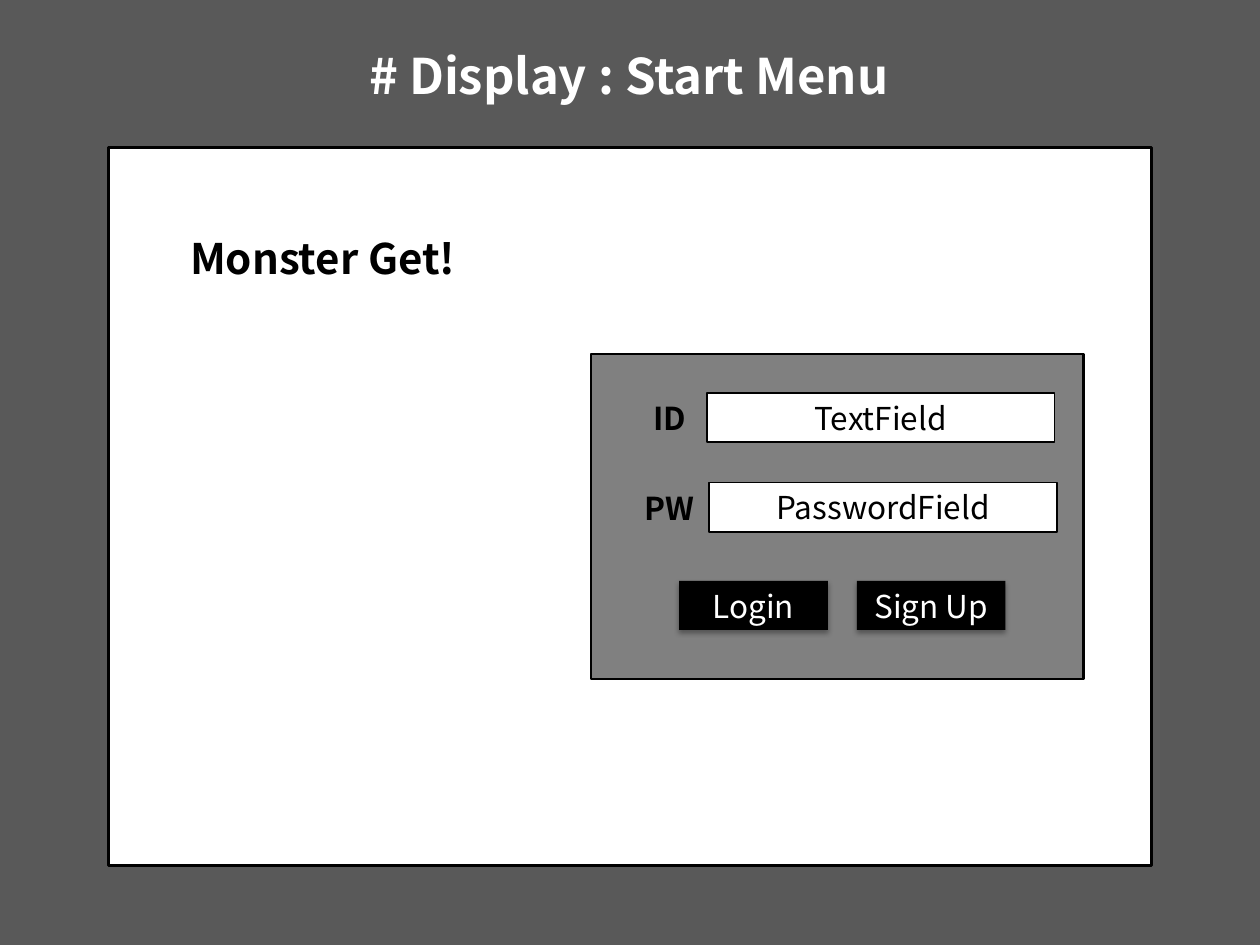
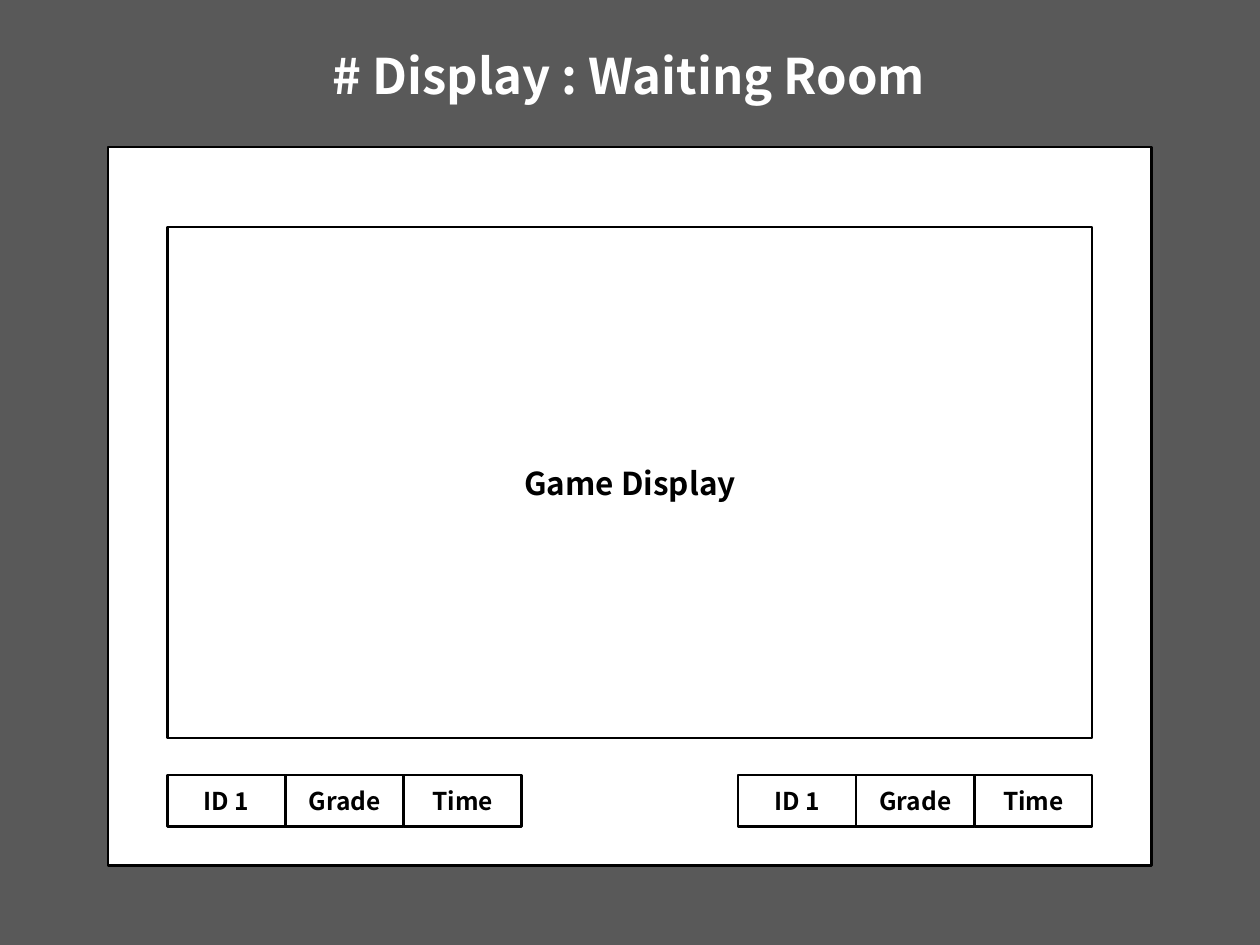
from lxml import etree
from pptx import Presentation
from pptx.dml.color import RGBColor
from pptx.enum.shapes import MSO_SHAPE as SHAPE
from pptx.enum.text import MSO_ANCHOR as ANCHOR, MSO_AUTO_SIZE as AUTO, PP_ALIGN as ALIGN
from pptx.oxml import parse_xml
from pptx.oxml.ns import nsdecls, qn
from pptx.util import Inches, Pt

FONT = "Noto Sans CJK KR"
BACKDROP = RGBColor(0x59, 0x59, 0x59)
PANEL = RGBColor(0x80, 0x80, 0x80)
WHITE = RGBColor(0xFF, 0xFF, 0xFF)
BLACK = RGBColor(0x00, 0x00, 0x00)


class Deck:
    """Holds the shared style and the slide being built."""

    def __init__(self):
        self.prs = Presentation()
        self.prs.slide_width, self.prs.slide_height = Inches(10), Inches(7.5)
        self.s = None

    def screen(self, title, border):
        """Start a slide with its title and the white screen frame."""
        self.s = self.prs.slides.add_slide(self.prs.slide_layouts[6])
        fill = self.s.background.fill
        fill.solid()
        fill.fore_color.rgb = BACKDROP
        self.label(title, 2.06, 0.31, 5.86, 0.57, size=28, color=WHITE)
        self.box(0.86, 1.17, 8.28, 5.7, fill=WHITE, border=border)

    def set_text(self, tf, text, align, size, bold, color):
        """Fill a text frame with one styled line."""
        tf.word_wrap = True
        p = tf.paragraphs[0]
        p.alignment = align
        r = p.add_run()
        r.text = text
        for name, value in {"name": FONT, "size": Pt(size), "bold": bold}.items():
            setattr(r.font, name, value)
        r.font.color.rgb = color

    def label(self, text, x, y, w, h, size=18, color=BLACK, align=ALIGN.CENTER):
        """Bold text without a box."""
        sp = self.s.shapes.add_textbox(Inches(x), Inches(y), Inches(w), Inches(h))
        sp.text_frame.auto_size = AUTO.SHAPE_TO_FIT_TEXT
        self.set_text(sp.text_frame, text, align, size, True, color)

    def box(self, x, y, w, h, text="", fill=None, border=None,
            size=18, bold=False, color=BLACK):
        """Rectangle with optional fill, border and centred text."""
        sp = self.s.shapes.add_shape(
            SHAPE.RECTANGLE, Inches(x), Inches(y), Inches(w), Inches(h))
        sp.shadow.inherit = False
        if fill is None:
            sp.fill.background()
        else:
            sp.fill.solid()
            sp.fill.fore_color.rgb = fill
        if border is None:
            sp.line.fill.background()
        else:
            sp.line.color.rgb = BLACK
            sp.line.width = Pt(border)
        if text:
            sp.text_frame.vertical_anchor = ANCHOR.MIDDLE
            self.set_text(sp.text_frame, text, ALIGN.CENTER, size, bold, color)
        return sp

    def button(self, text, x, y, w, h):
        """Black button with a soft shadow below."""
        sp = self.box(x, y, w, h, text, fill=BLACK, color=WHITE)
        shadow = parse_xml(
            f'<a:outerShdw {nsdecls("a")} blurRad="{Pt(3.1)}" dist="{Pt(1.8)}"'
            ' dir="5400000" rotWithShape="0"/>')
        clr = etree.SubElement(shadow, qn("a:srgbClr"), val=str(BLACK))
        etree.SubElement(clr, qn("a:alpha"), val="35000")
        sp.element.spPr.find(qn("a:effectLst")).append(shadow)


def start_menu(deck):
    deck.screen("# Display : Start Menu", border=1.5)
    deck.label("Monster Get!", 1.41, 1.8, 3.52, 0.5, size=24, align=ALIGN.LEFT)

    # Login panel
    deck.box(4.69, 2.81, 3.91, 2.58, fill=PANEL, border=1.5)
    fields = [("ID", "TextField", 5.61, 3.12), ("PW", "PasswordField", 5.63, 3.83)]
    for name, field, x, y in fields:
        deck.box(x, y, 2.76, 0.39, field, fill=WHITE, border=1)
        deck.label(name, 5, y, 0.63, 0.4)
    for i, text in enumerate(["Login", "Sign Up"]):
        deck.button(text, 5.39 + i * 1.41, 4.61, 1.18, 0.39)


def waiting_room(deck):
    border = 1.25
    deck.screen("# Display : Waiting Room", border)
    left, width = 1.33, 7.34
    deck.box(left, 1.8, width, 4.06, "Game Display", border=border, bold=True)

    # Player strips, flush with both sides of the game display
    strip = 2.81
    heads = ["ID 1", "Grade", "Time"]
    cell = strip / len(heads)
    for start in (left, left + width - strip):
        for i, head in enumerate(heads):
            deck.box(start + i * cell, 6.15, cell, 0.41, head,
                     border=border, size=14, bold=True)


def main():
    deck = Deck()
    start_menu(deck)
    waiting_room(deck)
    deck.prs.save("out.pptx")


if __name__ == "__main__":
    main()
